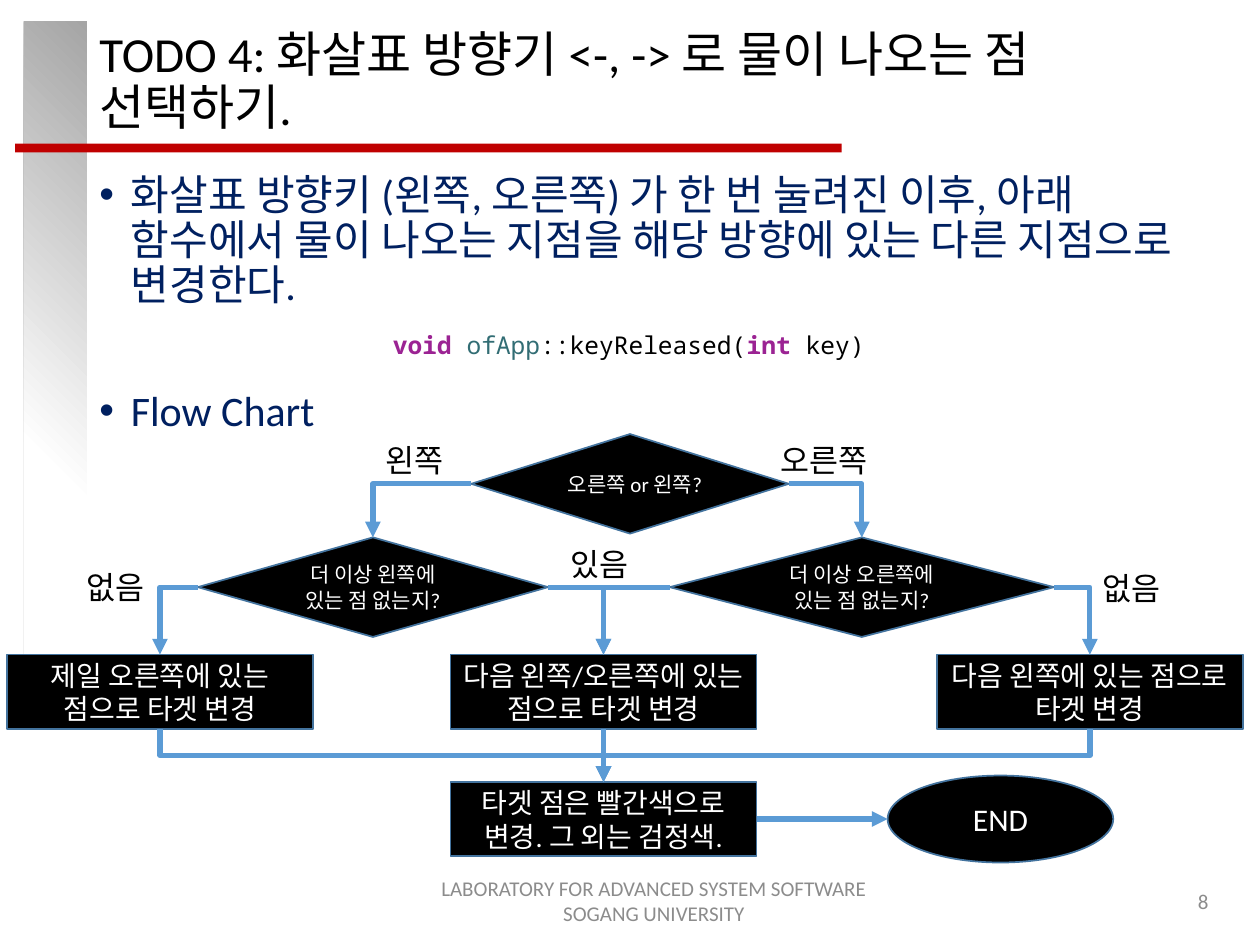
"""Build the slide with the flow chart for picking the water point."""
from typing import NamedTuple

from lxml import etree
from pptx import Presentation
from pptx.dml.color import RGBColor
from pptx.enum.shapes import MSO_CONNECTOR, MSO_SHAPE
from pptx.enum.text import MSO_ANCHOR, PP_ALIGN
from pptx.oxml import parse_xml
from pptx.oxml.ns import nsdecls, qn
from pptx.util import Inches, Pt

RECT, DIAMOND, OVAL = MSO_SHAPE.RECTANGLE, MSO_SHAPE.DIAMOND, MSO_SHAPE.OVAL
LINE, ELBOW = MSO_CONNECTOR.STRAIGHT, MSO_CONNECTOR.ELBOW
LEFT, CENTER, RIGHT = PP_ALIGN.LEFT, PP_ALIGN.CENTER, PP_ALIGN.RIGHT
TOP, MIDDLE = MSO_ANCHOR.TOP, MSO_ANCHOR.MIDDLE
SANS, MONO = "Calibri", "Noto Sans Mono"
COLORS = {
    "black": "000000", "white": "FFFFFF", "navy": "002060", "red": "C00000",
    "gray": "8C8C8C", "shade": "A5A5A5", "edge": "43739E", "arrow": "5B9BD5",
    "key": "9B2393", "type": "326D74",
}
BOX_W, BOX_H, DIA_H = 2.43, 0.59, 0.79


class Node(NamedTuple):
    """A flow chart step, placed by its centre."""
    text: str
    kind: int
    x: float
    y: float
    w: float
    h: float
    size: int

    @property
    def left(self) -> float:
        return self.x - self.w / 2

    @property
    def right(self) -> float:
        return self.x + self.w / 2

    @property
    def top(self) -> float:
        return self.y - self.h / 2

    @property
    def base(self) -> float:
        return self.y + self.h / 2


class Label(NamedTuple):
    """A word beside a branch."""
    text: str
    x: float
    y: float
    w: float


def color(name: str) -> RGBColor:
    """Look up a colour by name."""
    return RGBColor.from_string(COLORS[name])


def style(para, size: int, ink: str, align=LEFT, font: str = SANS) -> None:
    """Set the font and alignment of a paragraph."""
    para.alignment = align
    para.font.size, para.font.name = Pt(size), font
    para.font.color.rgb = color(ink)


def add_text(slide, text: str, box: tuple, size: int, ink: str,
             align=LEFT, anchor=TOP, wrap: bool = True, font: str = SANS):
    """Add a text box and return its frame."""
    frame = slide.shapes.add_textbox(*map(Inches, box)).text_frame
    frame.word_wrap, frame.vertical_anchor = wrap, anchor
    frame.text = text
    for para in frame.paragraphs:
        style(para, size, ink, align, font)
    return frame


def add_shape(slide, kind: int, box: tuple, fill: str):
    """Add a filled shape with no line."""
    shape = slide.shapes.add_shape(kind, *map(Inches, box))
    shape.shadow.inherit = False
    shape.fill.solid()
    shape.fill.fore_color.rgb = color(fill)
    shape.line.fill.background()
    return shape


def add_fade(slide) -> None:
    """Add the side band, which fades from its top right corner."""
    band = add_shape(slide, RECT, (0.19, 0.17, 0.5, 5.41), "white")
    stops = "".join(
        f'<a:gs pos="{pos * 1000}"><a:srgbClr val="{COLORS[name]}"/></a:gs>'
        for pos, name in ((0, "white"), (35, "white"), (100, "shade")))
    props = band._element.spPr
    props.replace(props.find(qn("a:solidFill")), parse_xml(
        f'<a:gradFill {nsdecls("a")} rotWithShape="1"><a:gsLst>{stops}</a:gsLst>'
        '<a:path path="circle"><a:fillToRect t="100000" r="100000"/></a:path>'
        '</a:gradFill>'))


def add_node(slide, node: Node) -> None:
    """Add a flow chart step."""
    shape = add_shape(slide, node.kind, (node.left, node.top, node.w, node.h), "black")
    shape.line.color.rgb, shape.line.width = color("edge"), Pt(1)
    frame = shape.text_frame
    frame.word_wrap, frame.vertical_anchor = True, MIDDLE
    frame.text = node.text
    style(frame.paragraphs[0], node.size, "white", CENTER)


def add_arrow(slide, kind: int, start: tuple, end: tuple):
    """Add an arrow and return its shape properties."""
    arrow = slide.shapes.add_connector(kind, *map(Inches, start + end))
    arrow.line.color.rgb, arrow.line.width = color("arrow"), Pt(3)
    props = arrow._element.spPr
    etree.SubElement(props.find(qn("a:ln")), qn("a:tailEnd"), type="triangle")
    etree.SubElement(props, qn("a:effectLst"))
    return props


def add_turn(slide, start: tuple, end: tuple) -> None:
    """Add an arrow that runs sideways, then down."""
    props = add_arrow(slide, ELBOW, start, end)
    props.find(qn("a:prstGeom")).set("prst", "bentConnector2")


def add_step(slide, start: tuple, end: tuple) -> None:
    """Add an arrow that runs down, sideways, then down."""
    mid_x, mid_y = (start[0] + end[0]) / 2, (start[1] + end[1]) / 2
    half_w, half_h = abs(end[0] - start[0]) / 2, (end[1] - start[1]) / 2
    turn, sign = (270, -1) if end[0] > start[0] else (90, 1)
    props = add_arrow(slide, ELBOW, (mid_x - sign * half_h, mid_y - half_w),
                      (mid_x + sign * half_h, mid_y + half_w))
    props.find(qn("a:xfrm")).set("rot", str(turn * 60000))


def add_list(slide) -> None:
    """Add the two bullet points."""
    text = ("화살표 방향키 (왼쪽, 오른쪽) 가 한 번 눌려진 이후, 아래 함수에서 "
            "물이 나오는 지점을 해당 방향에 있는 다른 지점으로 변경한다.\nFlow Chart")
    frame = add_text(slide, "", (0.69, 1.33, 9.03, 5.58), 24, "navy")
    frame.text = text
    for para, gap in zip(frame.paragraphs, (0, 46)):
        props = para._p.get_or_add_pPr()
        props.set("marL", str(Inches(0.25)))
        props.set("indent", str(-Inches(0.25)))
        etree.SubElement(props, qn("a:buFont"), typeface="Arial")
        etree.SubElement(props, qn("a:buChar"), char="•")
        para.line_spacing, para.space_before = 0.9, Pt(gap)
        style(para, 24, "navy")


def add_code(slide) -> None:
    """Add the function signature."""
    frame = add_text(slide, "", (3.02, 2.57, 3.96, 0.34), 14, "black",
                     wrap=False, font=MONO)
    for text, ink in (("void ", "key"), ("ofApp", "type"), ("::keyReleased(", "black"),
                      ("int", "key"), (" key)", "black")):
        run = frame.paragraphs[0].add_run()
        run.text, run.font.bold = text, ink == "key"
        run.font.color.rgb = color(ink)


def add_flow(slide) -> None:
    """Add the flow chart."""
    ask = Node("오른쪽 or 왼쪽?", DIAMOND, 5, 3.84, 2.52, DIA_H, 12)
    west = Node("더 이상 왼쪽에 있는 점 없는지?", DIAMOND, 2.96, 4.66, 2.78, DIA_H, 12)
    east = Node("더 이상 오른쪽에 있는 점 없는지?", DIAMOND, 6.84, 4.66, 3.05, DIA_H, 12)
    last, near, next_ = (
        Node(text, RECT, x, 5.49, BOX_W, BOX_H, 16) for text, x in (
            ("제일 오른쪽에 있는 점으로 타겟 변경", 1.27),
            ("다음 왼쪽/오른쪽에 있는 점으로 타겟 변경", 4.79),
            ("다음 왼쪽에 있는 점으로 타겟 변경", 8.65)))
    paint = Node("타겟 점은 빨간색으로 변경. 그 외는 검정색.", RECT, 4.79, 6.5, BOX_W, BOX_H, 16)
    end = Node("END", OVAL, 7.94, 6.5, 1.79, 0.69, 18)
    for node in (ask, west, east, last, near, next_, paint, end):
        add_node(slide, node)
    for node, goal in ((ask, west), (ask, east), (east, near),
                       (west, near), (west, last), (east, next_)):
        side = node.left if goal.x < node.x else node.right
        add_turn(slide, (side, node.y), (goal.x, goal.top))
    for node in (last, next_):
        add_step(slide, (node.x, node.base), (paint.x, paint.top))
    add_arrow(slide, LINE, (near.x, near.base), (paint.x, paint.top))
    add_arrow(slide, LINE, (paint.right, paint.y), (end.left, end.y))
    for label in (Label("왼쪽", 2.96, 3.45, 0.71), Label("오른쪽", 6.1, 3.45, 0.96),
                  Label("없음", 8.65, 4.47, 0.71), Label("있음", 4.43, 4.28, 0.71),
                  Label("없음", 0.59, 4.46, 0.71)):
        add_text(slide, label.text, (label.x, label.y, label.w, 0.4), 18, "black", wrap=False)


def main() -> None:
    """Build and save the slide."""
    deck = Presentation()
    deck.slide_width, deck.slide_height = Inches(10), Inches(7.5)
    slide = deck.slides.add_slide(deck.slide_layouts[6])
    add_fade(slide)
    add_shape(slide, RECT, (0.12, 1.14, 6.56, 0.07), "red")
    title = add_text(slide, "TODO 4: 화살표 방향기 <-, -> 로 물이 나오는 점\v선택하기.",
                     (0.69, 0.24, 9.03, 0.84), 28, "black", anchor=MIDDLE)
    title.paragraphs[0].line_spacing = 0.9
    add_list(slide)
    add_code(slide)
    add_flow(slide)
    add_text(slide, "LABORATORY FOR ADVANCED SYSTEM SOFTWARE\nSOGANG UNIVERSITY",
             (2.94, 6.94, 4.5, 0.41), 12, "gray", CENTER, MIDDLE)
    add_text(slide, "8", (7.44, 6.95, 2.25, 0.4), 12, "gray", RIGHT, MIDDLE)
    deck.save("out.pptx")


if __name__ == "__main__":
    main()
